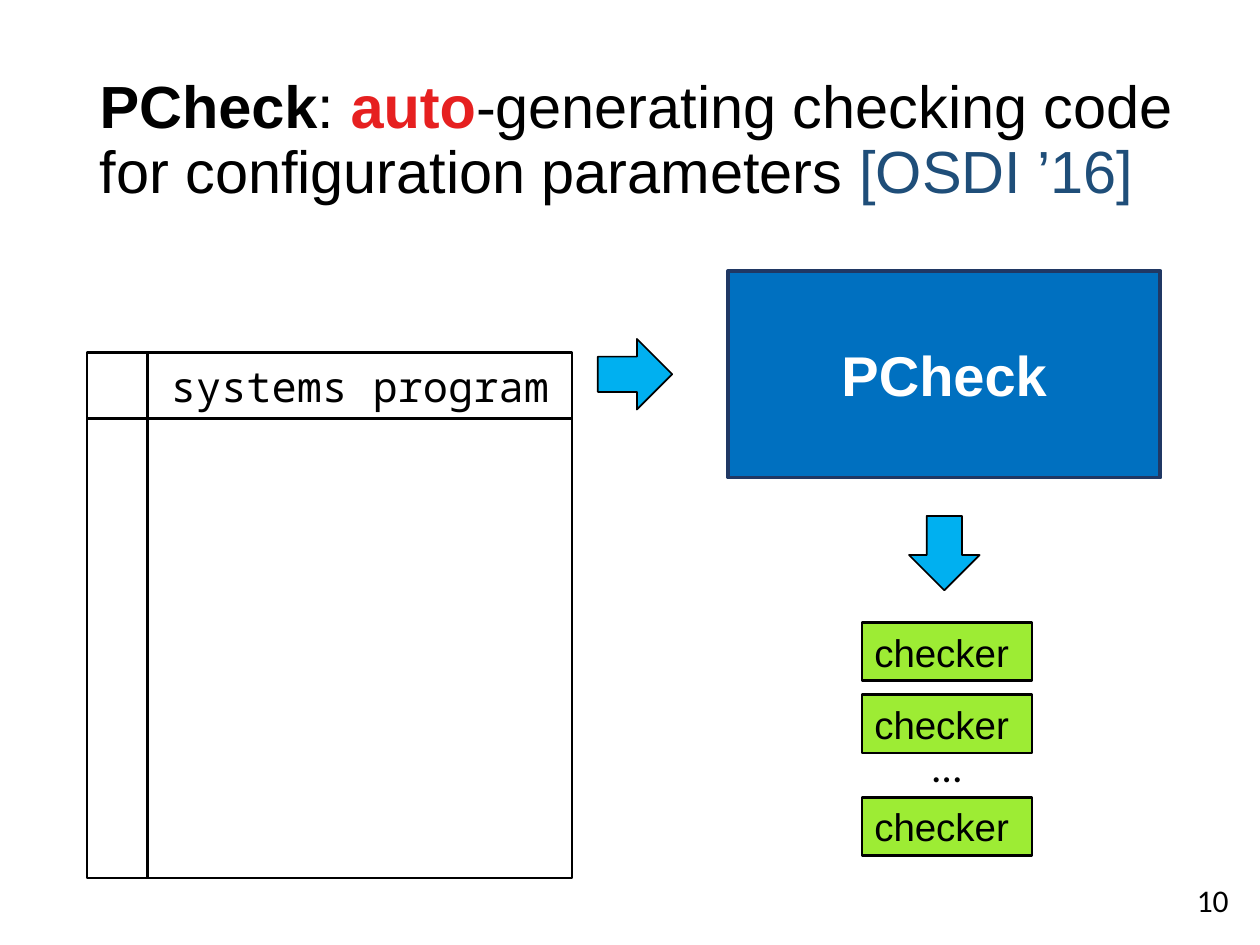
from dataclasses import dataclass

from pptx import Presentation
from pptx import util as u
from pptx.dml.color import RGBColor
from pptx.enum import shapes, text

Kind = shapes.MSO_SHAPE
PAGE_W, PAGE_H = 10, 7.5


@dataclass(frozen=True)
class Theme:
    sans: str = "Arial"
    mono: str = "Noto Sans Mono"
    plain: str = "Calibri"
    ink: str = "000000"
    paper: str = "FFFFFF"
    accent: str = "E62020"
    venue: str = "1F4E79"
    tool: str = "0070C0"
    tool_edge: str = "203864"
    arrow: str = "00B0F0"
    checker: str = "9DEC34"
    title_size: int = 34
    tool_size: int = 32
    label_size: int = 24
    checker_size: int = 22
    number_size: int = 18


THEME = Theme()


@dataclass(frozen=True)
class Box:
    """A rectangle in inches."""
    left: float
    top: float
    width: float
    height: float

    def share(self, x, y, width, height):
        """The box that takes the given shares of this one."""
        return Box(self.left + x * self.width, self.top + y * self.height,
                   width * self.width, height * self.height)

    def centred(self, width, height):
        return Box(self.left + (self.width - width) / 2,
                   self.top + (self.height - height) / 2, width, height)

    def emu(self):
        return [u.Inches(v) for v in (self.left, self.top, self.width, self.height)]


def write(shape, words, size, font=THEME.sans, color=THEME.ink, bold=False):
    frame = shape.text_frame
    frame.word_wrap = True
    frame.vertical_anchor = text.MSO_ANCHOR.MIDDLE
    line = frame.paragraphs[0]
    line.text = words
    line.alignment = text.PP_ALIGN.CENTER
    line.font.name, line.font.size, line.font.bold = font, u.Pt(size), bold
    line.font.color.rgb = RGBColor.from_string(color)


def add_label(slide, box, words, size, font):
    write(slide.shapes.add_textbox(*box.emu()), words, size, font)


def add_block(slide, kind, box, fill=None, edge=THEME.ink, weight=1.5):
    block = slide.shapes.add_shape(kind, *box.emu())
    block.shadow.inherit = False
    if fill:
        block.fill.solid()
        block.fill.fore_color.rgb = RGBColor.from_string(fill)
    else:
        block.fill.background()
    block.line.color.rgb = RGBColor.from_string(edge)
    block.line.width = u.Pt(weight)
    return block


def add_heading(slide, box):
    title = slide.shapes.title
    title.left, title.top, title.width, title.height = box.emu()
    frame = title.text_frame
    frame.word_wrap = True
    frame.auto_size = text.MSO_AUTO_SIZE.NONE
    frame.vertical_anchor = text.MSO_ANCHOR.MIDDLE
    line = frame.paragraphs[0]
    line.alignment = text.PP_ALIGN.LEFT
    line.line_spacing = 0.9
    line.font.name, line.font.size = THEME.sans, u.Pt(THEME.title_size)
    for words, color, bold in (
            ("PCheck", THEME.ink, True),
            (": ", THEME.ink, False),
            ("auto", THEME.accent, True),
            ("-generating checking code for configuration parameters ", THEME.ink, False),
            ("[OSDI ’16]", THEME.venue, False)):
        run = line.add_run()
        run.text = words
        run.font.bold = bold
        run.font.color.rgb = RGBColor.from_string(color)


def add_program(slide, box):
    """Program listing; the preset rules off an eighth at the top and left."""
    add_label(slide, box.share(1 / 8, 0, 7 / 8, 1 / 8), "systems program",
              THEME.label_size, THEME.mono)
    add_block(slide, Kind.FLOWCHART_INTERNAL_STORAGE, box)


def add_flow_arrow(slide, box, turn=0):
    arrow = add_block(slide, Kind.DOWN_ARROW, box.centred(0.56, 0.59), THEME.arrow, weight=1)
    arrow.rotation = turn


def add_tool(slide, box):
    tool = add_block(slide, Kind.RECTANGLE, box, THEME.tool, THEME.tool_edge, 2.25)
    write(tool, "PCheck", THEME.tool_size, color=THEME.paper, bold=True)


def add_checkers(slide, box):
    """Two checkers, an ellipsis and a last checker, stacked in the box."""
    height, second = 0.25, 0.31
    for top in (0, second, 1 - height):
        checker = add_block(slide, Kind.RECTANGLE, box.share(0, top, 1, height), THEME.checker)
        write(checker, "checker ", THEME.checker_size)
    add_label(slide, box.share(0, second, 1, 0.61), "…", THEME.label_size, THEME.plain)


def build_slide(deck):
    slide = deck.slides.add_slide(deck.slide_layouts.get_by_name("Title Only"))
    page = Box(0, 0, PAGE_W, PAGE_H)
    # Shares of the page, rounded to whole hundredths of an inch by the grid below.
    columns, rows = 100 / PAGE_W, 100 / PAGE_H

    def area(left, top, width, height):
        """Page area from lengths in inches, as shares of the page."""
        return page.share(left * columns / 100, top * rows / 100,
                          width * columns / 100, height * rows / 100)

    add_heading(slide, area(0.69, 0.4, 8.79, 1.45))
    add_program(slide, area(0.69, 2.8, 3.85, 4.17))
    add_flow_arrow(slide, area(4.54, 2.15, 1, 1.64), turn=270)
    add_tool(slide, area(5.78, 2.15, 3.43, 1.64))
    add_flow_arrow(slide, area(5.78, 3.79, 3.43, 1.2))
    add_checkers(slide, area(6.84, 4.94, 1.35, 1.85))
    add_label(slide, area(9.25, 6.78, 0.75, 0.72), "10", THEME.number_size, THEME.plain)


def main():
    deck = Presentation()
    deck.slide_width, deck.slide_height = u.Inches(PAGE_W), u.Inches(PAGE_H)
    build_slide(deck)
    deck.save("out.pptx")


if __name__ == "__main__":
    main()
